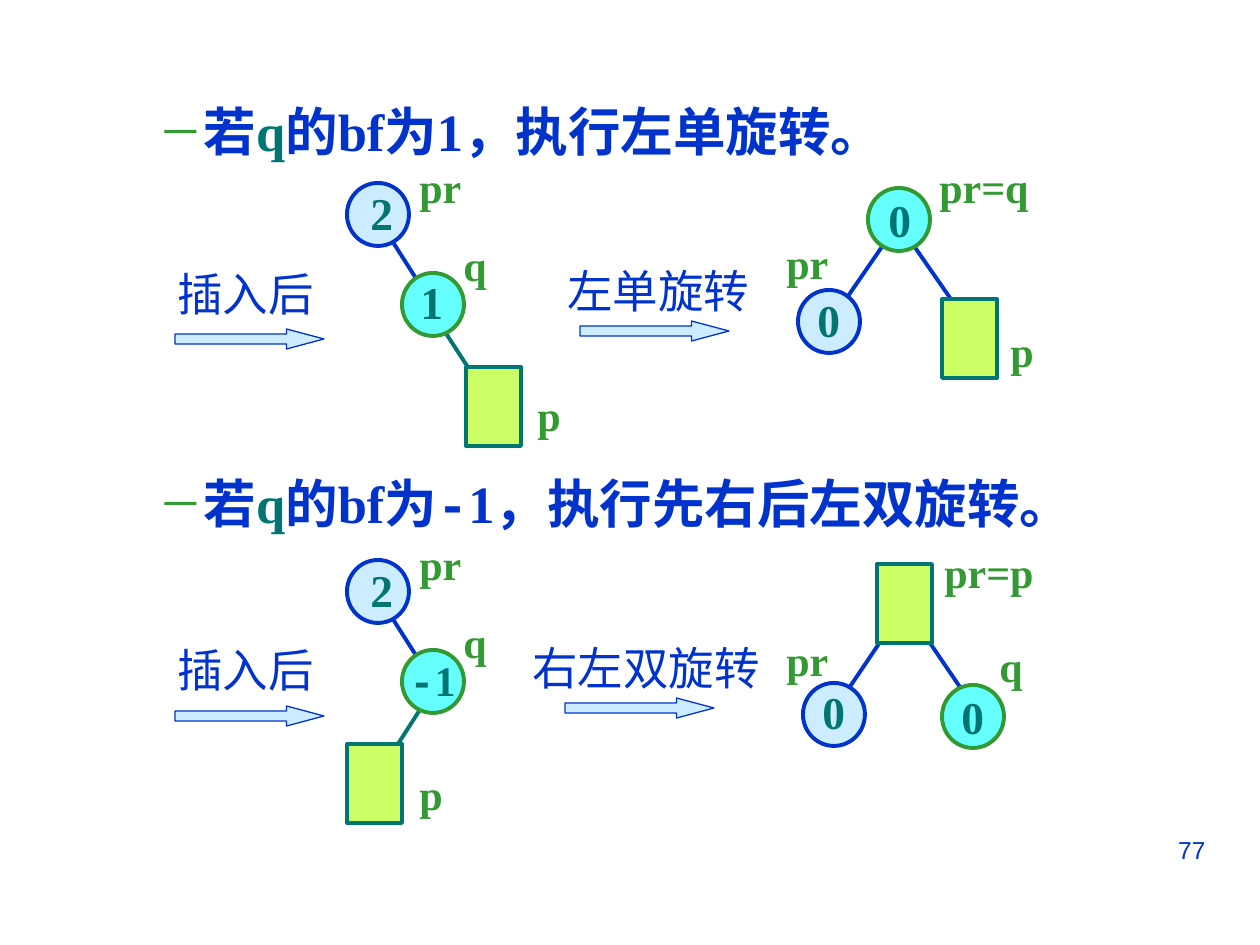
import pptx
import pptx.util
import pptx.dml.color
import pptx.enum.shapes
import pptx.enum.text
import pptx.oxml.ns
import lxml.etree

PX = 914400 / 126
COLORS = {"blue": "0033CC", "teal": "007572", "green": "339933",
          "pale": "CCECFF", "cyan": "66FFFF", "lime": "CCFF66"}
SERIF, SANS, MONO = "Times New Roman", "Arial", "Courier New"
FORMATS = {
    "heading": {"size": pptx.util.Pt(30), "bold": True, "name": SERIF},
    "caption": {"size": pptx.util.Pt(26), "bold": False, "name": SANS},
    "digit": {"size": pptx.util.Pt(26), "bold": True, "name": SERIF},
    "name": {"size": pptx.util.Pt(24), "bold": True, "name": SERIF},
    "number": {"size": pptx.util.Pt(14), "bold": False, "name": SANS},
}
MSO = pptx.enum.shapes.MSO_SHAPE
qn = pptx.oxml.ns.qn

prs = pptx.Presentation()
prs.slide_width = pptx.util.Inches(10)
prs.slide_height = pptx.util.Inches(7.5)
s = prs.slides.add_slide(prs.slide_layouts[1])
s.shapes.title.element.getparent().remove(s.shapes.title.element)


def emu(*lengths):
    return [pptx.util.Emu(round(v * PX)) for v in lengths]


def add_run(p, text, kind, color, font=None):
    r = p.add_run()
    r.text = text
    for key, value in FORMATS[kind].items():
        setattr(r.font, key, value)
    r.font.name = font or r.font.name
    r.font.color.rgb = pptx.dml.color.RGBColor.from_string(COLORS[color])


body = s.placeholders[1]
body.left, body.top, body.width, body.height = emu(89, 86, 1085, 769)
tf = body.text_frame
tf.auto_size = pptx.enum.text.MSO_AUTO_SIZE.NONE
headings = [
    (0, [("若", "blue", SERIF), ("q", "teal", SERIF),
         ("的bf为1，执行左单旋转。", "blue", SERIF)]),
    (173, [("若", "blue", SERIF), ("q", "teal", SERIF), ("的bf为", "blue", SERIF),
           ("-", "blue", MONO), ("1，执行先右后左双旋转。", "blue", SERIF)]),
]
for i, (before, runs) in enumerate(headings):
    p = tf.add_paragraph() if i else tf.paragraphs[0]
    p.level = 1
    pPr = p._p.get_or_add_pPr()
    margin, indent = emu(102, -39)
    pPr.set("marL", str(margin))
    pPr.set("indent", str(indent))
    clr = lxml.etree.SubElement(pPr, qn("a:buClr"))
    lxml.etree.SubElement(clr, qn("a:srgbClr"), val=COLORS["green"])
    lxml.etree.SubElement(pPr, qn("a:buSzPct"), val="85000")
    lxml.etree.SubElement(pPr, qn("a:buChar"), char="─")
    p.line_spacing = 1.1
    p.space_before = pptx.util.Pt(before)
    for text, color, font in runs:
        add_run(p, text, "heading", color, font)

edges = [
    (436, 318, 484, 392, "teal"), (384, 228, 431, 302, "blue"),
    (886, 241, 835, 315, "blue"), (905, 233, 955, 305, "blue"),
    (430, 694, 382, 769, "teal"), (384, 605, 431, 679, "blue"),
    (895, 620, 845, 694, "blue"), (915, 621, 964, 693, "blue"),
]
for x1, y1, x2, y2, color in edges:
    c = s.shapes.add_connector(pptx.enum.shapes.MSO_CONNECTOR.STRAIGHT, *emu(x1, y1, x2, y2))
    c.line.color.rgb = pptx.dml.color.RGBColor.from_string(COLORS[color])
    c.line.width = pptx.util.Pt(2.25)
    lxml.etree.SubElement(c._element.spPr, qn("a:effectLst"))

STYLES = {
    "arrow": (MSO.RIGHT_ARROW, 149, 20, "pale", "blue", 0.75),
    "old root": (MSO.OVAL, 62, 63, "pale", "blue", 2.25),
    "child": (MSO.OVAL, 62, 63, "cyan", "green", 2.25),
    "subtree": (MSO.RECTANGLE, 55, 79, "lime", "teal", 2.25),
}
nodes = [
    ("arrow", 175, 329), ("arrow", 580, 321), ("arrow", 175, 706), ("arrow", 565, 698),
    ("old root", 347, 183), ("child", 402, 273), ("subtree", 466, 367),
    ("child", 868, 188), ("old root", 798, 290), ("subtree", 942, 299),
    ("old root", 347, 560), ("child", 402, 650), ("subtree", 347, 744),
    ("subtree", 877, 564), ("old root", 803, 683), ("child", 942, 685),
]
for kind, x, y in nodes:
    preset, w, h, fill, line, weight = STYLES[kind]
    sp = s.shapes.add_shape(preset, *emu(x, y, w, h))
    sp.shadow.inherit = False
    sp.fill.solid()
    sp.fill.fore_color.rgb = pptx.dml.color.RGBColor.from_string(COLORS[fill])
    sp.line.color.rgb = pptx.dml.color.RGBColor.from_string(COLORS[line])
    sp.line.width = pptx.util.Pt(weight)
    if kind == "arrow":
        sp.adjustments[0], sp.adjustments[1] = 0.5, 1.87

LABEL_COLORS = {"caption": "blue", "digit": "teal", "name": "green"}
WIDTHS = {"插入后": 166, "左单旋转": 212, "右左双旋转": 258, "p": 49, "q": 49,
          "pr": 67, "pr=q": 115, "pr=p": 115}
labels = [
    ("插入后", "caption", 165, 260), ("左单旋转", "caption", 555, 257),
    ("插入后", "caption", 165, 636), ("右左双旋转", "caption", 520, 634),
    ("2", "digit", 358, 179), ("1", "digit", 408, 268),
    ("0", "digit", 876, 186), ("0", "digit", 805, 286),
    ("2", "digit", 358, 556), ("0", "digit", 810, 678), ("0", "digit", 949, 683),
    ("pr", "name", 407, 155), ("q", "name", 451, 233), ("p", "name", 525, 383),
    ("pr=q", "name", 927, 155), ("pr", "name", 774, 231), ("p", "name", 998, 319),
    ("pr", "name", 407, 532), ("q", "name", 451, 610), ("p", "name", 407, 762),
    ("pr=p", "name", 932, 540), ("pr", "name", 774, 628), ("q", "name", 987, 634),
]
for text, kind, x, y in labels:
    height = 63 if kind == "name" else 67
    tf = s.shapes.add_textbox(*emu(x, y, WIDTHS.get(text, 48), height)).text_frame
    tf.word_wrap = False
    add_run(tf.paragraphs[0], text, kind, LABEL_COLORS[kind])

tf = s.shapes.add_textbox(*emu(397, 648, 72, 63)).text_frame
tf.word_wrap = False
add_run(tf.paragraphs[0], "-", "name", "teal", MONO)
add_run(tf.paragraphs[0], "1", "name", "teal")

tf = s.shapes.add_textbox(*emu(903, 829, 315, 66)).text_frame
tf.word_wrap = True
tf.paragraphs[0].alignment = pptx.enum.text.PP_ALIGN.RIGHT
add_run(tf.paragraphs[0], "77", "number", "blue")

prs.save("out.pptx")
